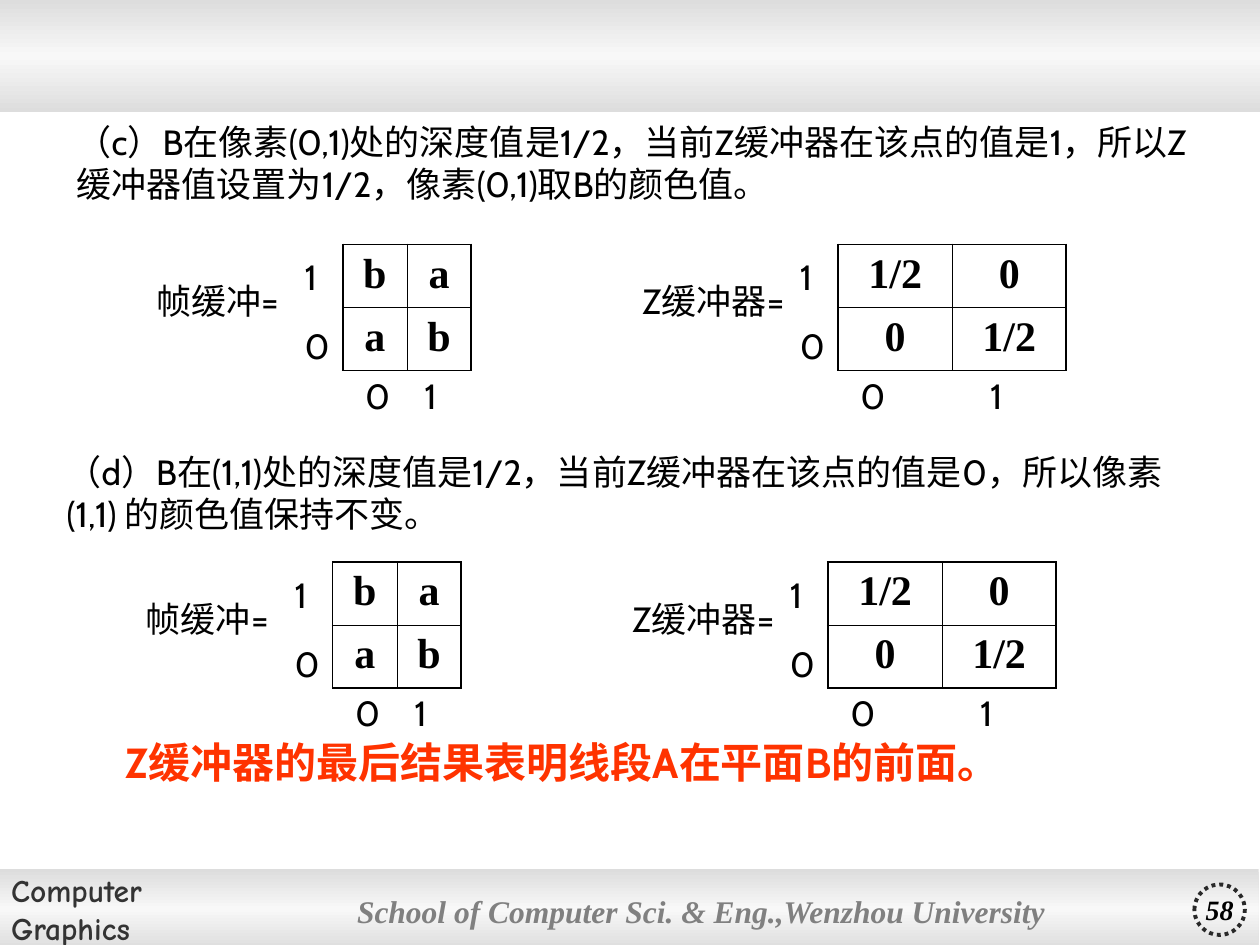
from pptx import Presentation
from pptx import util as u
from pptx.dml.color import RGBColor
from pptx.enum import dml, shapes, text
from pptx.oxml import parse_xml
from pptx.oxml.ns import nsdecls

BLACK = RGBColor(0, 0, 0)
INK = RGBColor(0x33, 0x33, 0x33)
RING = RGBColor(0x29, 0x29, 0x29)
GRAY = RGBColor(0x80, 0x80, 0x80)
RED = RGBColor(0xFF, 0x33, 0x00)

BODY = dict(name="Cabin", size=u.Pt(20), color=BLACK)
CLAIM = dict(name="Cabin", size=u.Pt(24), color=RED, bold=True)
CELL = dict(name="Times New Roman", size=u.Pt(24), color=BLACK, bold=True)
COURSE = dict(name="Comic Neue", size=u.Pt(18), color=INK, bold=True)
SCHOOL = dict(name="Times New Roman", size=u.Pt(18), color=GRAY, bold=True, italic=True)
NUMBER = dict(name="Times New Roman", size=u.Pt(16), color=BLACK, bold=True, italic=True)

PARAGRAPHS = [
    ((0.51, 0.91, 9.14, 0.77),
     "（c）B在像素(0,1)处的深度值是1/2，当前Z缓冲器在该点的值是1，"
     "所以Z缓冲器值设置为1/2，像素(0,1)取B的颜色值。", BODY),
    ((0.43, 3.53, 9.14, 0.77),
     "（d）B在(1,1)处的深度值是1/2，当前Z缓冲器在该点的值是0，"
     "所以像素(1,1) 的颜色值保持不变。", BODY),
    ((0.9, 5.8, 8.66, 0.5), "Z缓冲器的最后结果表明线段A在平面B的前面。", CLAIM),
]
BUFFERS = [
    dict(left=2.72, cols=(0.51, 0.51), values=[("b", "a"), ("a", "b")],
         caption="帧缓冲=", caption_box=(-1.58, 1.34, 0.44), label_step=0.47),
    dict(left=6.65, cols=(0.91, 0.9), values=[("1/2", "0"), ("0", "1/2")],
         caption="Z缓冲器=", caption_box=(-1.65, 1.42, 0.77), label_step=1.03),
]
STEPS = [(0, 1.94), (-0.08, 4.46)]
ROW_H = 0.5
LABEL = (0.39, 0.44)


def inches(box):
    return [u.Inches(v) for v in box]


def write(tf, lines, fmt, align=text.PP_ALIGN.LEFT, inset=(0.1, 0.05)):
    tf.word_wrap = True
    tf.margin_left = tf.margin_right = u.Inches(inset[0])
    tf.margin_top = tf.margin_bottom = u.Inches(inset[1])
    for i, line in enumerate(lines.split("\n")):
        p = tf.paragraphs[0] if i == 0 else tf.add_paragraph()
        p.alignment = align
        r = p.add_run()
        r.text = line
        for key, value in fmt.items():
            if key == "color":
                r.font.color.rgb = value
            else:
                setattr(r.font, key, value)


def add_text(s, box, line, fmt):
    write(s.shapes.add_textbox(*inches(box)).text_frame, line, fmt)


def add_shape(s, kind, box):
    sp = s.shapes.add_shape(kind, *inches(box))
    sp.shadow.inherit = False
    sp.fill.background()
    sp.line.fill.background()
    sp.text_frame.vertical_anchor = text.MSO_ANCHOR.MIDDLE
    return sp


def add_band(s, box):
    sp = add_shape(s, shapes.MSO_SHAPE.RECTANGLE, box)
    stops = "".join(f'<a:gs pos="{pos}"><a:srgbClr val="{c}"/></a:gs>'
                    for pos, c in ((0, "DDDDDD"), (50000, "F8F8F8"), (100000, "DDDDDD")))
    grad = parse_xml(f'<a:gradFill {nsdecls("a")} rotWithShape="1"><a:gsLst>{stops}</a:gsLst>'
                     '<a:lin ang="5400000" scaled="0"/></a:gradFill>')
    sp.fill.background()
    sp_pr = sp.element.spPr
    sp_pr.replace(sp_pr.find("{*}noFill"), grad)
    return sp


def set_borders(cell, row, col):
    outer = dict(L=col == 0, R=col == 1, T=row == 0, B=row == 1)
    tc_pr = cell._tc.get_or_add_tcPr()
    for i, (side, is_outer) in enumerate(outer.items()):
        width = u.Pt(1.08 if is_outer else 0.45)
        tc_pr.insert(i, parse_xml(
            f'<a:ln{side} {nsdecls("a")} w="{width}"><a:solidFill>'
            f'<a:srgbClr val="{BLACK}"/></a:solidFill></a:ln{side}>'))


def add_buffer(s, buf, dx, top):
    left = buf["left"] + dx
    offset, width, height = buf["caption_box"]
    tbl = s.shapes.add_table(2, 2, *inches((left, top, sum(buf["cols"]), 2 * ROW_H))).table
    tbl.first_row = tbl.horz_banding = False
    for i in range(2):
        tbl.columns[i].width = u.Inches(buf["cols"][i])
        tbl.rows[i].height = u.Inches(ROW_H)
    for row, values in enumerate(buf["values"]):
        for col, value in enumerate(values):
            cell = tbl.cell(row, col)
            cell.fill.background()
            set_borders(cell, row, col)
            write(cell.text_frame, value, CELL, text.PP_ALIGN.CENTER)
    for i in range(2):
        add_text(s, (left - 0.4, top + 0.04 + 0.55 * i, *LABEL), str(1 - i), BODY)
        add_text(s, (left + 0.08 + buf["label_step"] * i, top + 0.98, *LABEL), str(i), BODY)
    add_text(s, (left + offset, top + 0.23, width, height), buf["caption"], BODY)


def main():
    prs = Presentation()
    prs.slide_width, prs.slide_height = u.Inches(10), u.Inches(7.5)
    s = prs.slides.add_slide(prs.slide_layouts[6])

    footer = add_band(s, (-0.01, 6.9, 10, 0.63))
    write(footer.text_frame, "Computer\nGraphics", COURSE)
    add_band(s, (0, 0, 10, 0.89))
    school = add_shape(s, shapes.MSO_SHAPE.ROUNDED_RECTANGLE, (2.78, 6.9, 5.99, 0.66))
    school.adjustments[0] = 0.02
    write(school.text_frame, "School of Computer Sci. & Eng.,Wenzhou University",
          SCHOOL, inset=(0.05, 0.02))
    ring = add_shape(s, shapes.MSO_SHAPE.OVAL, (9.48, 7.02, 0.4, 0.4))
    ring.line.color.rgb = RING
    ring.line.width = u.Pt(2.25)
    ring.line.dash_style = dml.MSO_LINE.ROUND_DOT
    write(ring.text_frame, "58", NUMBER, text.PP_ALIGN.CENTER, inset=(0, 0))

    for box, line, fmt in PARAGRAPHS:
        add_text(s, box, line, fmt)
    for dx, top in STEPS:
        for buf in BUFFERS:
            add_buffer(s, buf, dx, top)
    prs.save("out.pptx")


if __name__ == "__main__":
    main()
